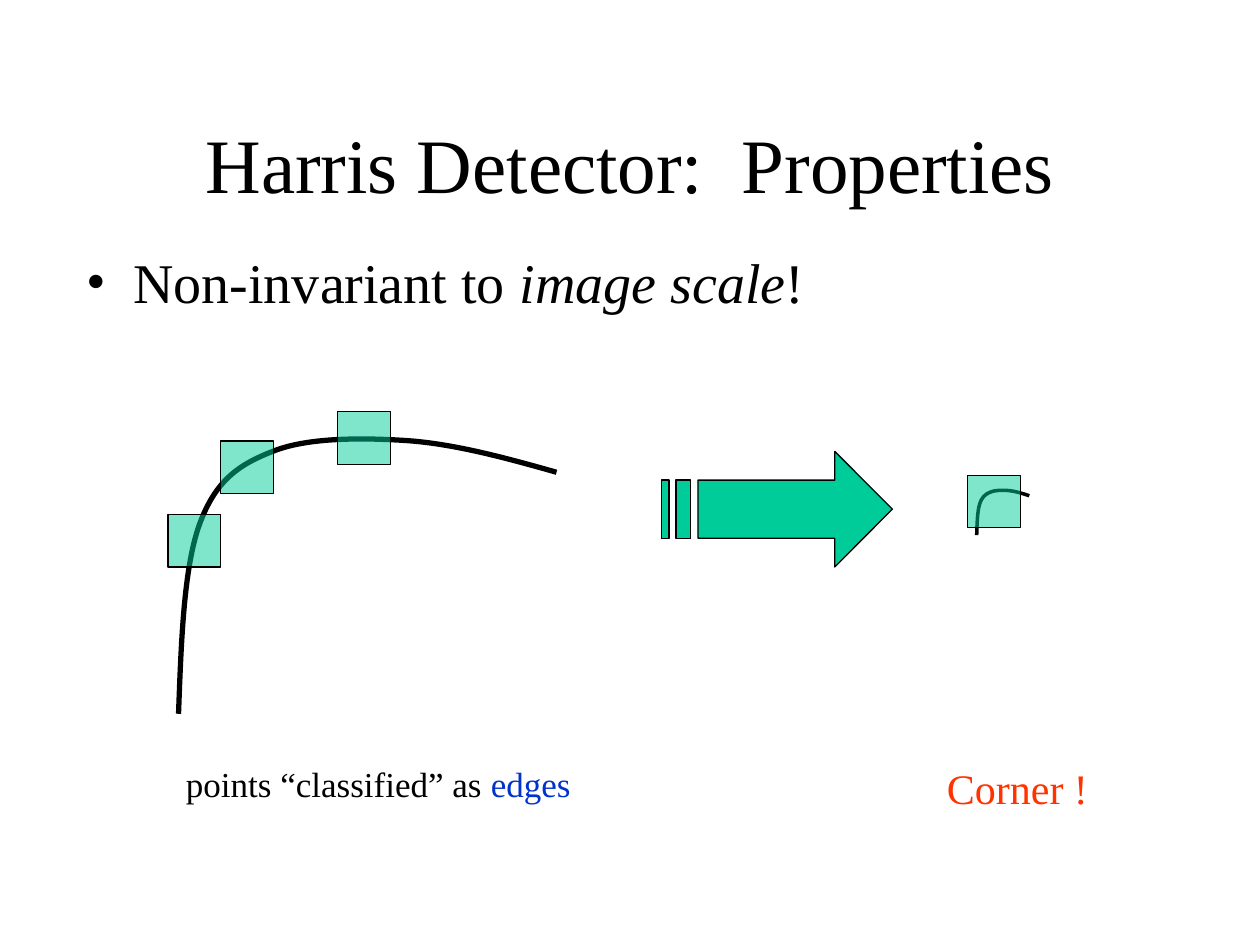
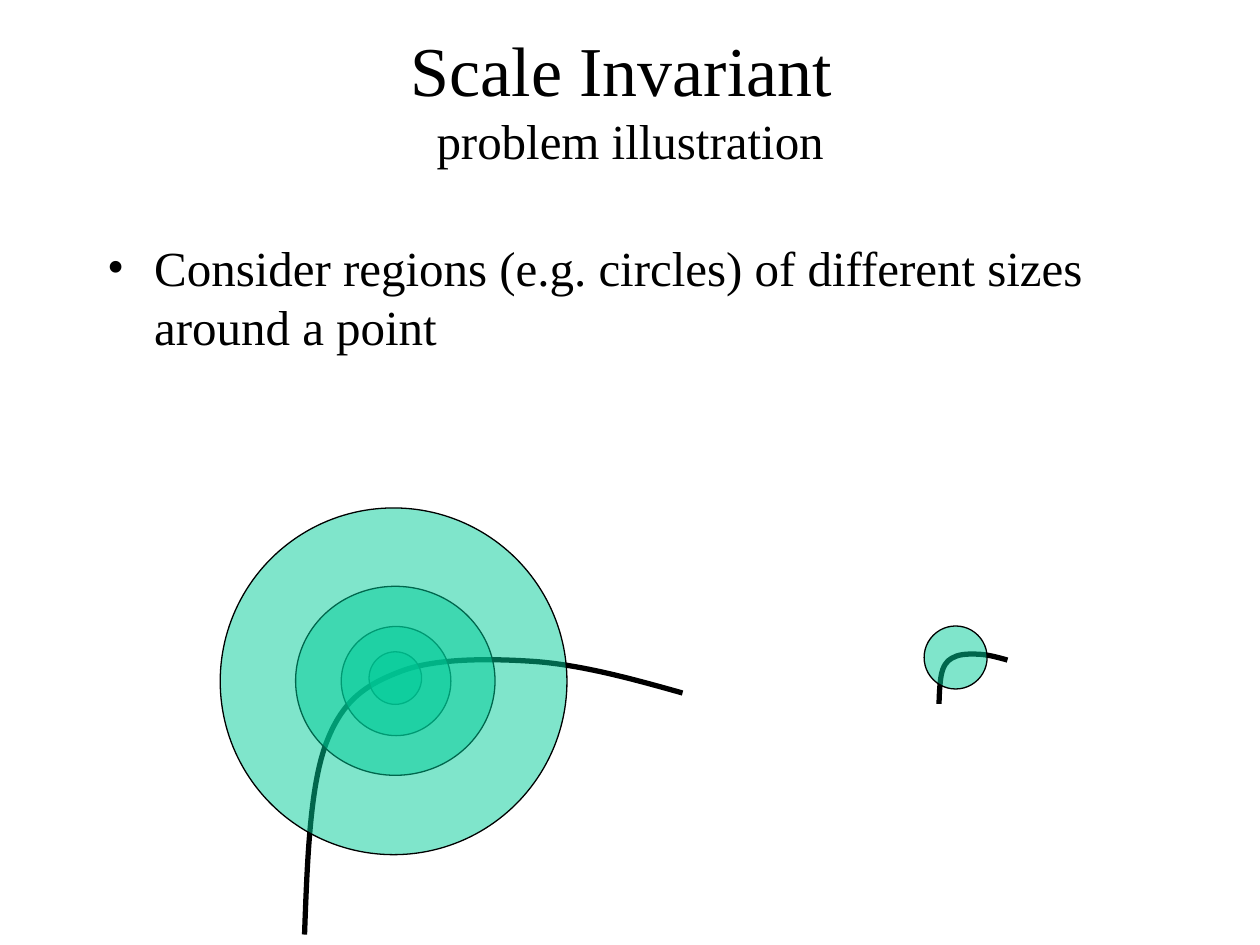
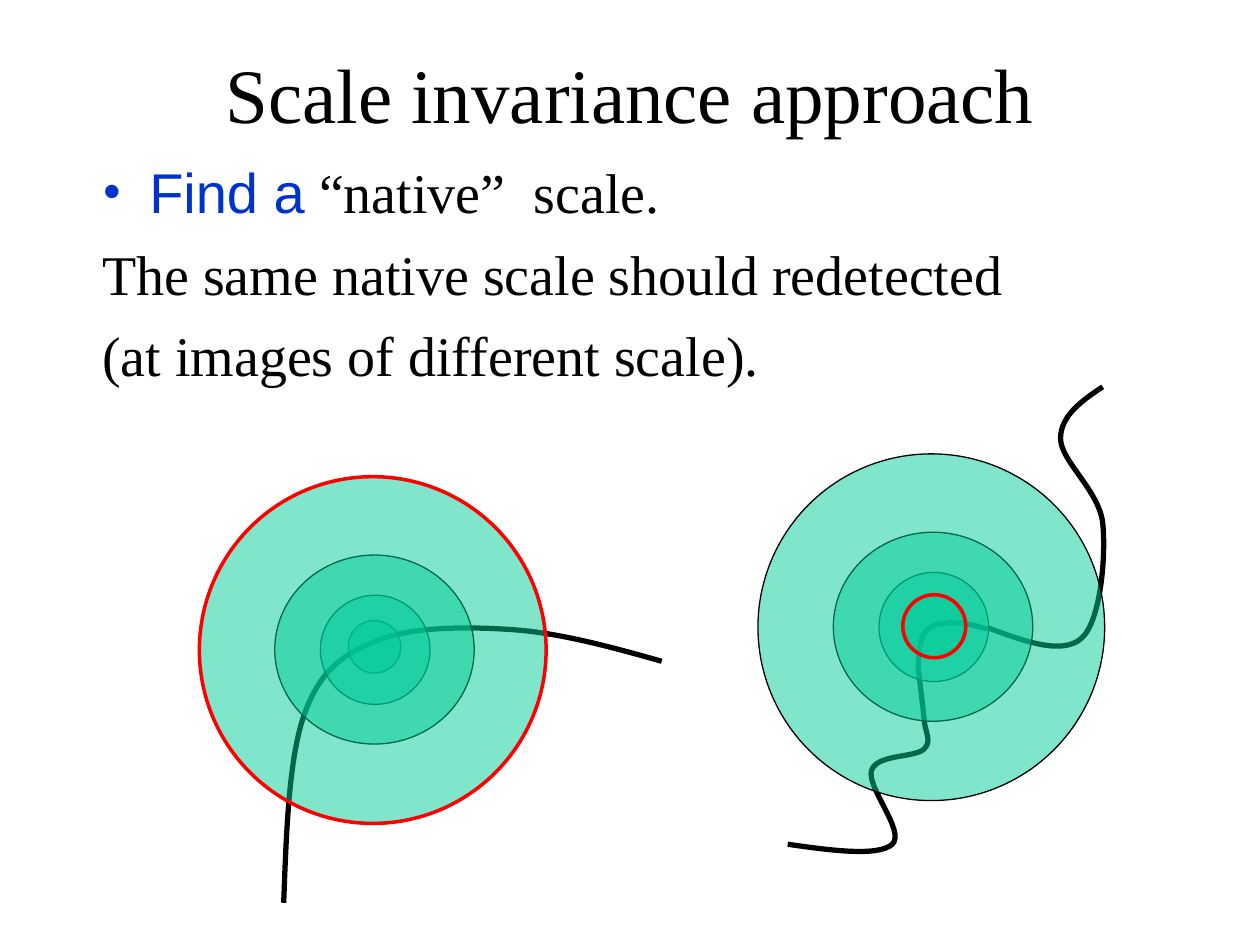
import dataclasses

import lxml.etree
import pptx
import pptx.dml.color
import pptx.enum.shapes
import pptx.enum.text
import pptx.oxml.ns
import pptx.util

Cm = pptx.util.Cm
Pt = pptx.util.Pt
SHAPE = pptx.enum.shapes.MSO_SHAPE
ALIGN = pptx.enum.text.PP_ALIGN
ANCHOR = pptx.enum.text.MSO_ANCHOR
qn = pptx.oxml.ns.qn


@dataclasses.dataclass(frozen=True)
class Theme:
    serif: str = "Times New Roman"
    sans: str = "Arial"
    ink: str = "000000"
    region: str = "00CC99"
    blue: str = "0033CC"
    orange: str = "FF3300"
    red: str = "FF0000"
    title: float = 44
    title_small: float = 40
    body: float = 32
    body_small: float = 28
    corner: float = 24
    caption: float = 20
    thin: float = 0.75
    medium: float = 2
    thick: float = 3
    alpha: int = 50


@dataclasses.dataclass(frozen=True)
class Run:
    text: str
    size: float
    color: str = Theme.ink
    font: str = Theme.serif
    italic: bool = False


T = Theme()

# Text: each paragraph is a list of runs, "\n" is a line break.
TITLE_SIZE = (21.59, 3.18)
BODY_SIZE = (21.59, 11.43)

PROPERTIES = {
    "title": (1.91, 1.7, [Run("Harris Detector:  Properties", T.title)]),
    "body": (1.49, 4.87, [[Run("Non-invariant to ", T.body),
                           Run("image scale", T.body, italic=True),
                           Run("!", T.body)]]),
    "edges": [Run("points “classified” as ", T.caption),
              Run("edges", T.caption, T.blue)],
    "corner": [Run("Corner !", T.corner, T.orange)],
}
PROBLEM = {
    "title": (1.91, 0.38, [Run("Scale Invariant \n", T.title_small),
                           Run("problem illustration", T.body_small)]),
    "body": (1.91, 4.66, [[Run("Consider regions (e.g. circles) of different sizes "
                               "around a point", T.body_small)]]),
}
APPROACH = {
    "title": (1.91, 0.28, [Run("Scale invariance approach", T.title)]),
    "body": (1.81, 3.06, [
        [Run("Find a", T.body, T.blue, T.sans), Run(" “native”  scale.", T.body)],
        [Run("The same native scale should redetected", T.body)],
        [Run("(at images of different scale).", T.body)],
    ]),
}

# Curves: a start point, then two control points and an end point per segment.
# The bend is given in percent of its frame, the two tails in cm.
BEND = [(0, 100),
        (0.7, 73.7), (1.4, 47.3), (5.5, 31.6),
        (9.7, 15.8), (15.7, 9.9), (25, 5),
        (34, 0), (48.5, 0), (61, 1.2),
        (73.5, 2.5), (86.8, 7.5), (100, 12.6)]
BIG_BEND = (7.62, 5.57)
UPPER_TAIL = [(19.9, 12.65),
              (20.65, 12.93), (21.41, 13.21), (21.8, 12.87),
              (22.19, 12.53), (22.3, 11.2), (22.23, 10.54),
              (22.15, 9.88), (21.38, 9.29), (21.38, 8.84),
              (21.38, 8.39), (21.8, 8.08), (22.23, 7.8)]
LOWER_TAIL = [(15.88, 17.02),
              (16.78, 17.15), (17.7, 17.27), (17.99, 17.02),
              (18.26, 16.76), (17.46, 15.86), (17.57, 15.53),
              (17.68, 15.2), (18.44, 15.28), (18.63, 15.1),
              (18.8, 14.93), (18.64, 14.76), (18.63, 14.49),
              (18.6, 14.22), (18.56, 13.88), (18.52, 13.55)]

# Regions, in cm
WINDOW = 1.06
EDGE_WINDOWS = [(3.39, 10.37), (4.45, 8.89), (6.81, 8.3)]
CORNER_WINDOW = (19.51, 9.58)
RINGS = [(3, 2.9, 1.06, 1.06), (2.44, 2.39, 2.21, 2.2),
         (1.52, 1.58, 4.02, 3.81), (0, 0, 6.99, 6.99)]
NATIVE_RING = 1.27

# Scaling arrow: a body and two stripes, in cm from its corner
ARROW_AT = (13.34, 9.1)
SHAFT_TOP, SHAFT_BOTTOM, ARROW_HEIGHT = 0.58, 1.75, 2.33
STRIPES = [(0, 0.15), (0.29, 0.58)]
SHAFT_LEFT, HEAD_LEFT, TIP = 0.73, 3.49, 4.65


def rgb(color):
    return pptx.dml.color.RGBColor.from_string(color)


def set_line(sp, color, width):
    sp.shadow.inherit = False
    sp.line.color.rgb = rgb(color)
    sp.line.width = Pt(width)


def add_runs(p, runs):
    for run in runs:
        r = p.add_run()
        r.text = run.text.rstrip("\n")
        r.font.size = Pt(run.size)
        r.font.name = run.font
        r.font.italic = run.italic
        r.font.color.rgb = rgb(run.color)
        if run.text.endswith("\n"):
            p.add_line_break()


def add_text(slide, x, y, w, h, paragraphs, anchor=ANCHOR.TOP, align=ALIGN.LEFT):
    tf = slide.shapes.add_textbox(Cm(x), Cm(y), Cm(w), Cm(h)).text_frame
    tf.word_wrap = True
    tf.vertical_anchor = anchor
    for i, runs in enumerate(paragraphs):
        p = tf.paragraphs[0] if i == 0 else tf.add_paragraph()
        p.alignment = align
        if i:
            p.space_before = Pt(8)
        add_runs(p, runs)
    return tf


def add_title(slide, content):
    x, y, runs = content["title"]
    add_text(slide, x, y, *TITLE_SIZE, [runs], ANCHOR.MIDDLE, ALIGN.CENTER)


def add_body(slide, content):
    """Only the first paragraph has a bullet, in the colour of its first run."""
    x, y, paragraphs = content["body"]
    p = add_text(slide, x, y, *BODY_SIZE, paragraphs).paragraphs[0]
    pPr = p._p.get_or_add_pPr()
    pPr.set("marL", str(Cm(0.95)))
    pPr.set("indent", str(-Cm(0.95)))
    buClr = lxml.etree.SubElement(pPr, qn("a:buClr"))
    lxml.etree.SubElement(buClr, qn("a:srgbClr"), val=paragraphs[0][0].color)
    lxml.etree.SubElement(pPr, qn("a:buFont"), typeface=T.serif)
    lxml.etree.SubElement(pPr, qn("a:buChar"), char="•")


def add_region(slide, kind, x, y, w, h, marked=False):
    sp = slide.shapes.add_shape(kind, Cm(x), Cm(y), Cm(w), Cm(h))
    sp.fill.solid()
    sp.fill.fore_color.rgb = rgb(T.region)
    clr = sp._element.spPr.find(".//" + qn("a:srgbClr"))
    lxml.etree.SubElement(clr, qn("a:alpha"), val=str(T.alpha * 1000))
    set_line(sp, T.red if marked else T.ink, T.medium if marked else T.thin)


def add_rings(slide, x, y, rings, mark_outer=False):
    for dx, dy, w, h in rings:
        add_region(slide, SHAPE.OVAL, x + dx, y + dy, w, h,
                   mark_outer and dx == 0)


def to_cm(points):
    return [(Cm(x), Cm(y)) for x, y in points]


def add_curve(slide, points, width=T.thick):
    """Lay the points as a polyline, then turn each three into a Bézier segment."""
    start, *rest = to_cm(points)
    builder = slide.shapes.build_freeform(*start)
    builder.add_line_segments(rest, close=False)
    sp = builder.convert_to_shape()
    lines = list(sp._element.spPr.iter(qn("a:lnTo")))
    outline = lines[0].getparent()
    for i in range(0, len(lines), 3):
        segment = lxml.etree.SubElement(outline, qn("a:cubicBezTo"))
        for line in lines[i:i + 3]:
            segment.append(line[0])
            outline.remove(line)
    sp.fill.background()
    set_line(sp, T.ink, width)


def add_bend(slide, x, y, w, h, width=T.thick):
    add_curve(slide, [(x + px * w / 100, y + py * h / 100) for px, py in BEND], width)


def add_scaling_arrow(slide):
    body = [(SHAFT_LEFT, SHAFT_TOP), (HEAD_LEFT, SHAFT_TOP), (HEAD_LEFT, 0),
            (TIP, ARROW_HEIGHT / 2), (HEAD_LEFT, ARROW_HEIGHT),
            (HEAD_LEFT, SHAFT_BOTTOM), (SHAFT_LEFT, SHAFT_BOTTOM)]
    stripes = [[(a, SHAFT_TOP), (b, SHAFT_TOP), (b, SHAFT_BOTTOM), (a, SHAFT_BOTTOM)]
               for a, b in STRIPES]
    x, y = ARROW_AT
    builder = None
    for outline in [body, *stripes]:
        start, *rest = to_cm((x + px, y + py) for px, py in outline)
        if builder is None:
            builder = slide.shapes.build_freeform(*start)
        else:
            builder.move_to(*start)
        builder.add_line_segments(rest, close=True)
    sp = builder.convert_to_shape()
    sp.fill.solid()
    sp.fill.fore_color.rgb = rgb(T.region)
    set_line(sp, T.ink, T.thin)


def draw_properties(slide):
    add_title(slide, PROPERTIES)
    add_body(slide, PROPERTIES)
    add_bend(slide, 19.69, 9.88, 1.06, 0.91, T.medium)
    add_region(slide, SHAPE.RECTANGLE, *CORNER_WINDOW, WINDOW, WINDOW)
    add_bend(slide, 3.6, 8.82, *BIG_BEND)
    for x, y in EDGE_WINDOWS:
        add_region(slide, SHAPE.RECTANGLE, x, y, WINDOW, WINDOW)
    add_scaling_arrow(slide)
    add_text(slide, 3.5, 15.24, 13.26, 1.12, [PROPERTIES["edges"]])
    add_text(slide, 18.84, 15.24, 3.81, 1.27, [PROPERTIES["corner"]])


def draw_problem(slide):
    add_title(slide, PROBLEM)
    add_body(slide, PROBLEM)
    add_bend(slide, 6.14, 13.27, *BIG_BEND)
    add_rings(slide, 4.44, 10.24, RINGS)
    add_bend(slide, 18.93, 13.18, 1.38, 1.01)
    add_region(slide, SHAPE.OVAL, 18.63, 12.62, NATIVE_RING, NATIVE_RING)


def draw_approach(slide):
    add_curve(slide, UPPER_TAIL)
    add_curve(slide, LOWER_TAIL)
    add_title(slide, APPROACH)
    add_bend(slide, 5.72, 12.63, *BIG_BEND)
    add_rings(slide, 4.02, 9.61, RINGS, mark_outer=True)
    add_bend(slide, 18.51, 12.55, 1.38, 1.01)
    add_rings(slide, 15.28, 9.15, RINGS[1:])
    add_region(slide, SHAPE.OVAL, 18.2, 11.99, NATIVE_RING, NATIVE_RING, marked=True)
    add_body(slide, APPROACH)


def main():
    prs = pptx.Presentation()
    prs.slide_width, prs.slide_height = Cm(25.4), Cm(19.05)
    for draw in (draw_properties, draw_problem, draw_approach):
        draw(prs.slides.add_slide(prs.slide_layouts[6]))
    prs.save("out.pptx")


if __name__ == "__main__":
    main()
